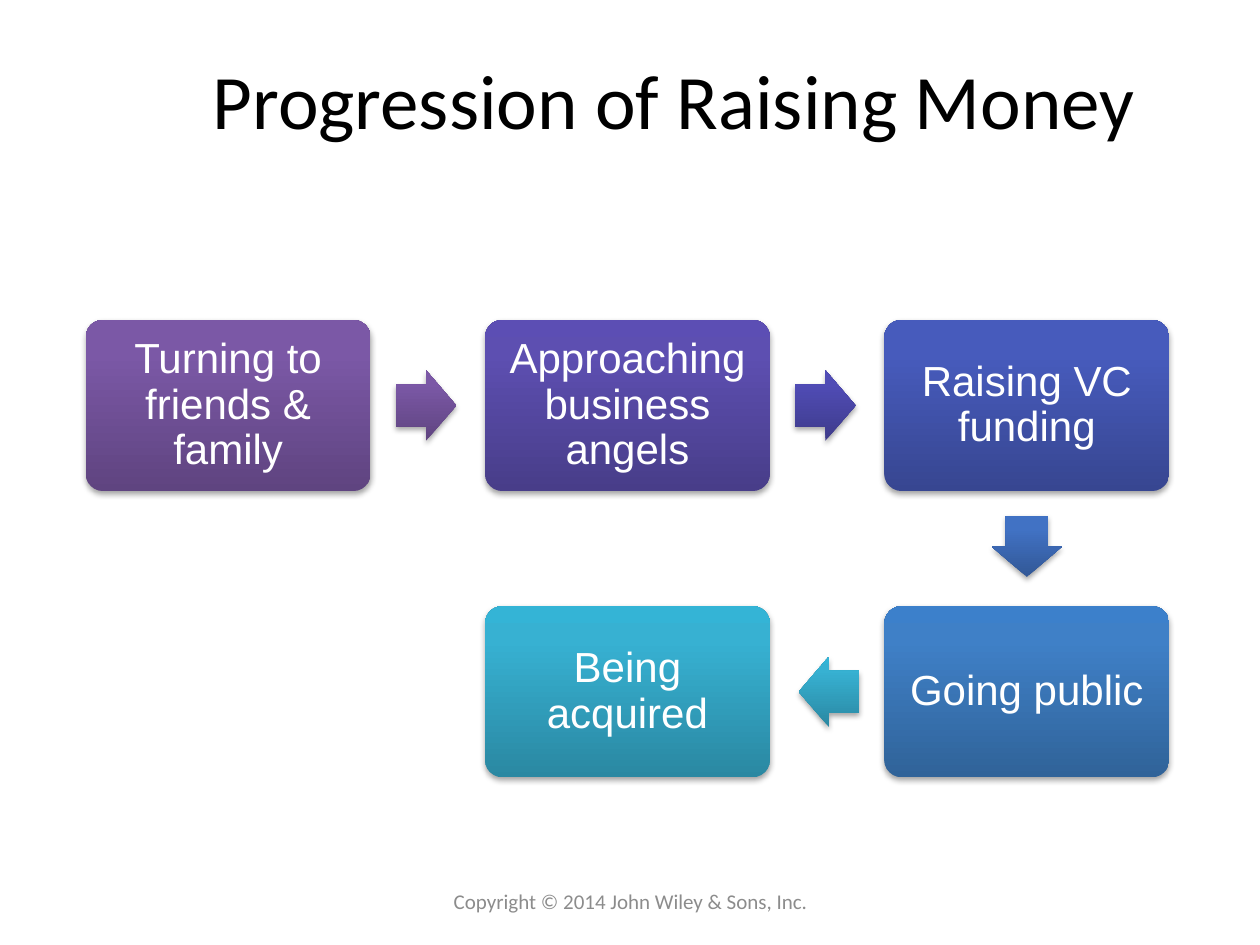
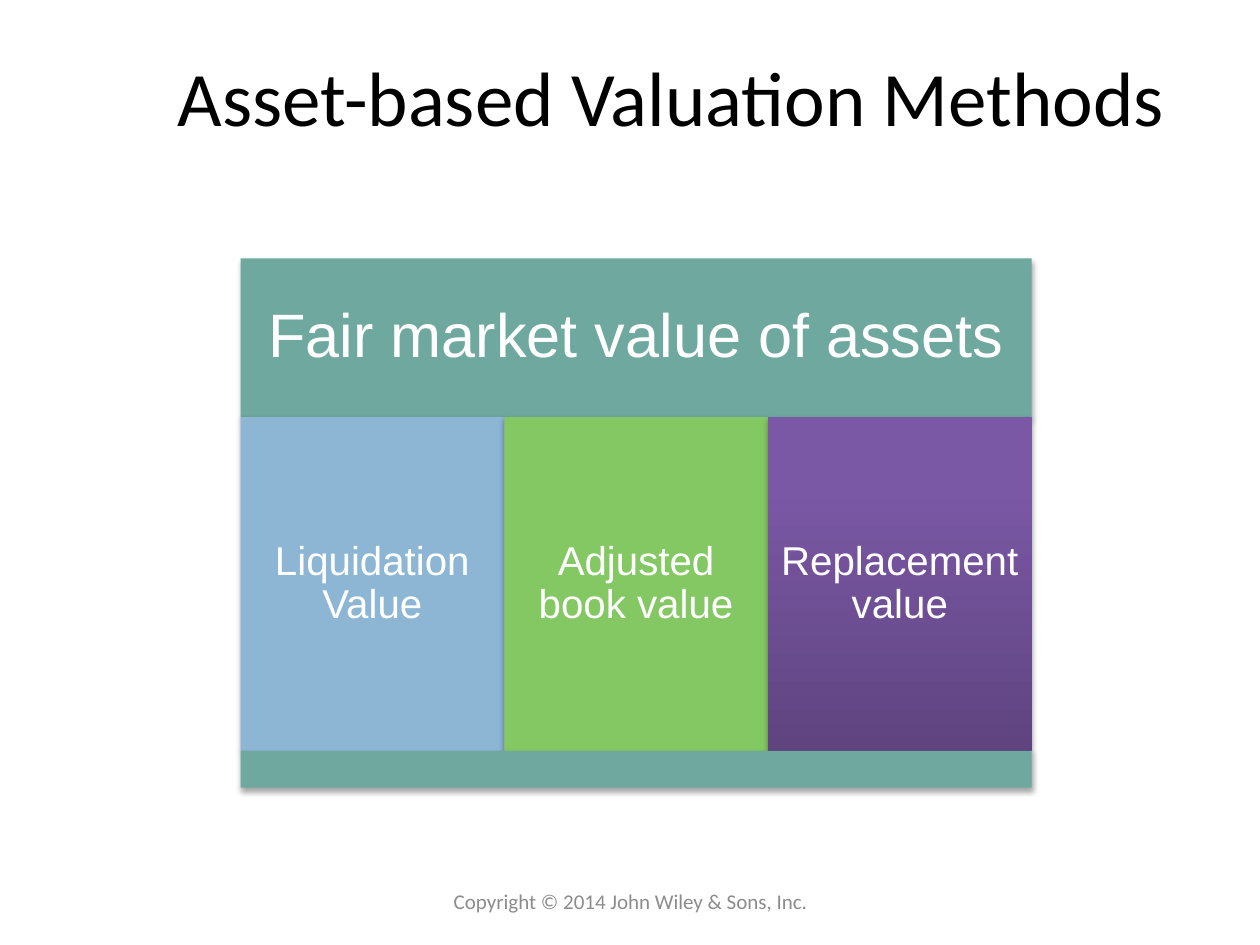
"""Build two slides on raising money and asset-based valuation."""
from pptx import Presentation, oxml, util as u
from pptx.dml.color import RGBColor
from pptx.enum import shapes, text
from pptx.oxml import ns

COLOURS = {
    "title": "000000",
    "footer": "8C8C8C",
    "label": "FFFFFF",
    "shadow": "000000",
    "teal": "6EA89E",
    "sky": "8CB6D4",
    "green": "84C864",
    "purple": "5F4480 7B58A6 7C57A8",
    "violet": "483D89 5D4FB1 5C4EB4",
    "indigo": "3E3B8B 504CB5 4F4BB8",
    "royal": "374691 475BBC 455ABF",
    "blue": "325897 4172C4 3F72C7",
    "azure": "306399 3F80C7 3C80CB",
    "cyan": "2A88A2 37B1D2 34B4D6",
}
SHAPE = shapes.MSO_SHAPE
TITLE_WIDTH = 23.72
FOOTER = "Copyright © 2014 John Wiley & Sons, Inc."


def write(box, words, size, font, colour, inset=0.25, spacing=None):
    """Put centred, wrapped text into a box."""
    frame = box.text_frame
    frame.text = words
    frame.word_wrap = True
    frame.vertical_anchor = text.MSO_ANCHOR.MIDDLE
    frame.margin_left = frame.margin_right = u.Cm(inset)
    frame.margin_top = frame.margin_bottom = u.Cm(inset)
    para = frame.paragraphs[0]
    para.alignment = text.PP_ALIGN.CENTER
    para.line_spacing = spacing
    for span in para.runs:
        span.font.size = u.Pt(size)
        span.font.name = font
        span.font.color.rgb = RGBColor.from_string(COLOURS[colour])


def draw(page, kind, left, top, width, height, colour):
    """Add a shadowed shape with a solid or three-stop upright fill."""
    shape = page.shapes.add_shape(kind, u.Cm(left), u.Cm(top), u.Cm(width), u.Cm(height))
    shape.line.fill.background()
    stops = COLOURS[colour].split()
    properties = shape.element.spPr
    if len(stops) == 1:
        shape.fill.solid()
        shape.fill.fore_color.rgb = RGBColor.from_string(stops[0])
    else:
        shape.fill.gradient()
        marks = "".join(
            f'<a:gs pos="{place}"><a:srgbClr val="{stop}"/></a:gs>'
            for place, stop in zip((0, 80000, 100000), stops)
        )
        gradient = oxml.parse_xml(
            f'<a:gradFill {ns.nsdecls("a")} rotWithShape="0"><a:gsLst>{marks}</a:gsLst>'
            '<a:lin ang="16200000" scaled="0"/></a:gradFill>'
        )
        properties.replace(properties.find(ns.qn("a:gradFill")), gradient)
    shape.shadow.inherit = False
    properties.find(ns.qn("a:effectLst")).append(oxml.parse_xml(
        f'<a:outerShdw {ns.nsdecls("a")} blurRad="40000" dist="23000" dir="5400000" '
        f'rotWithShape="0"><a:srgbClr val="{COLOURS["shadow"]}">'
        '<a:alpha val="35000"/></a:srgbClr></a:outerShdw>'
    ))
    return shape


deck = Presentation()
deck.slide_width, deck.slide_height = u.Cm(25.4), u.Cm(19.05)
pages = []
for title, left, top, height in (
    ("Progression of Raising Money", 1.73, 0.51, 2.97),
    ("Asset-based Valuation Methods", 1.68, 0.33, 3.18),
):
    page = deck.slides.add_slide(deck.slide_layouts[6])
    box = page.shapes.add_textbox(u.Cm(left), u.Cm(top), u.Cm(TITLE_WIDTH), u.Cm(height))
    write(box, title, 44, "Calibri", "title")
    box = page.shapes.add_textbox(u.Cm(8.69), u.Cm(17.65), u.Cm(8.05), u.Cm(1.02))
    write(box, FOOTER, 12, "Calibri", "footer")
    pages.append(page)
progression, valuation = pages

STEP_WIDTH, STEP_HEIGHT = 5.74, 3.45
ARROW_LENGTH, ARROW_BREADTH, ARROW_GAP = 1.22, 1.42, 0.51
DIRECTIONS = {0: (1, 0), 90: (0, 1), 180: (-1, 0)}
steps = (
    ("Turning to friends & family", 0, 0, "purple", 0, "purple"),
    ("Approaching business angels", 1, 0, "violet", 0, "indigo"),
    ("Raising VC funding", 2, 0, "royal", 90, "blue"),
    ("Going public", 2, 1, "azure", 180, "cyan"),
    ("Being acquired", 1, 1, "cyan", None, None),
)
for words, column, row, colour, turn, arrow_colour in steps:
    left, top = 1.73 + 8.05 * column, 6.45 + 5.77 * row
    step = draw(progression, SHAPE.ROUNDED_RECTANGLE, left, top, STEP_WIDTH, STEP_HEIGHT, colour)
    step.adjustments[0] = 0.1
    write(step, words, 24, "Arial", "label", spacing=0.9)
    if turn is None:
        continue
    across, down = DIRECTIONS[turn]
    reach = ARROW_GAP + ARROW_LENGTH / 2
    middle_x = left + STEP_WIDTH / 2 + across * (STEP_WIDTH / 2 + reach)
    middle_y = top + STEP_HEIGHT / 2 + down * (STEP_HEIGHT / 2 + reach)
    arrow = draw(progression, SHAPE.RIGHT_ARROW, middle_x - ARROW_LENGTH / 2,
                 middle_y - ARROW_BREADTH / 2, ARROW_LENGTH, ARROW_BREADTH, arrow_colour)
    arrow.adjustments[0], arrow.adjustments[1] = 0.6, 0.5
    arrow.rotation = turn

LEFT, WIDTH = 4.85, 15.95
HEADER_TOP, HEADER_HEIGHT, METHOD_HEIGHT = 5.21, 3.2, 6.73
method_top = HEADER_TOP + HEADER_HEIGHT
header = draw(valuation, SHAPE.RECTANGLE, LEFT, HEADER_TOP, WIDTH, HEADER_HEIGHT, "teal")
write(header, "Fair market value of assets", 35, "Arial", "label", inset=0.38, spacing=0.9)
methods = (
    ("Liquidation Value", "sky"),
    ("Adjusted book value", "green"),
    ("Replacement value", "purple"),
)
method_width = WIDTH / len(methods)
for index, (words, colour) in enumerate(methods):
    method = draw(valuation, SHAPE.RECTANGLE, LEFT + index * method_width, method_top,
                  method_width, METHOD_HEIGHT, colour)
    write(method, words, 23, "Arial", "label", spacing=0.9)
draw(valuation, SHAPE.RECTANGLE, LEFT, method_top + METHOD_HEIGHT, WIDTH, 0.74, "teal")

deck.save("out.pptx")
